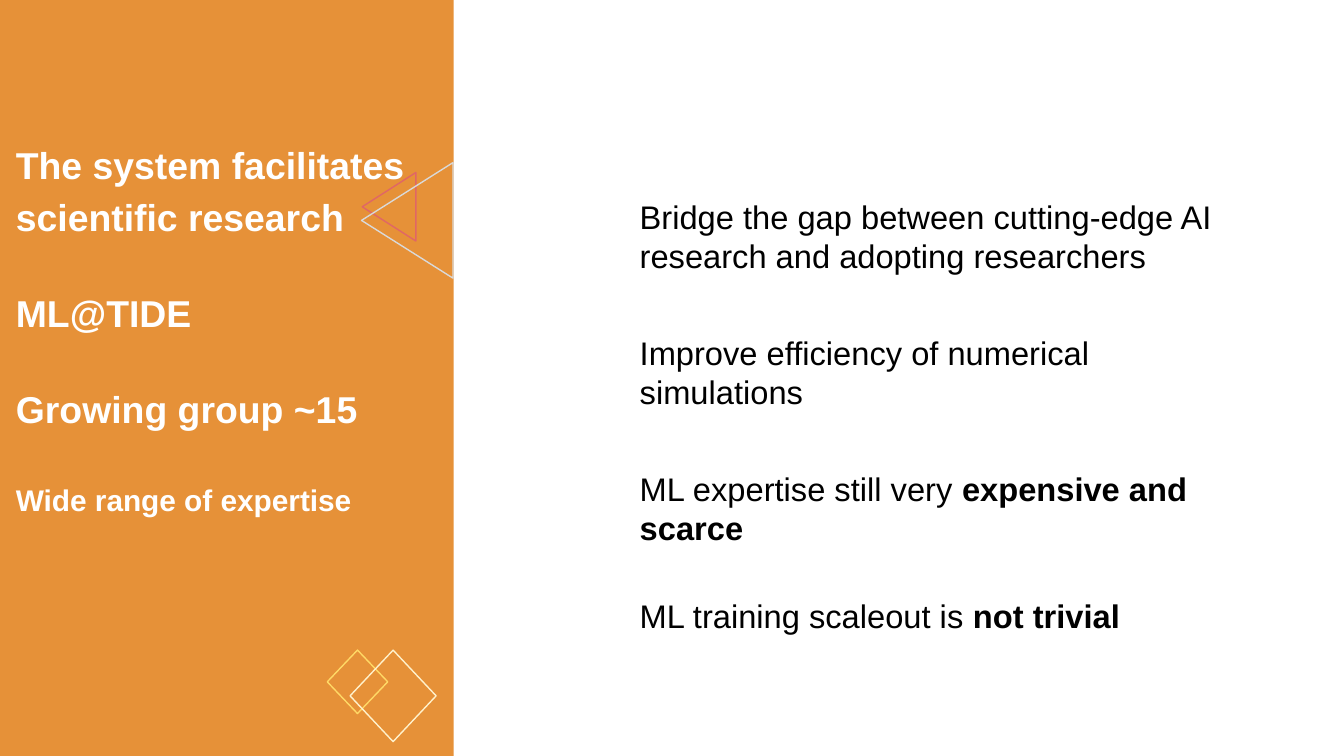
from dataclasses import dataclass

from lxml import etree
from pptx import Presentation, util as u
from pptx.dml.color import RGBColor
from pptx.enum import shapes, text
from pptx.oxml.ns import qn


@dataclass(frozen=True)
class Theme:
    font: str = "Arial"
    panel: str = "E69138"
    light: str = "FFFFFF"
    dark: str = "000000"
    rose: str = "E06666"
    grey: str = "D9D9D9"
    gold: str = "FFD966"
    cream: str = "FFF2CC"
    heading: float = 20
    subheading: float = 16
    body: float = 17.5
    outline: float = 0.75


THEME = Theme()
WIDTH = u.Inches(10)
HEIGHT = WIDTH * 9 // 16
TRIANGLE = shapes.MSO_SHAPE.ISOSCELES_TRIANGLE
DIAMOND = shapes.MSO_SHAPE.DIAMOND


@dataclass(frozen=True)
class Area:
    left: float
    top: float
    width: float
    height: float


@dataclass(frozen=True)
class Ornament:
    kind: shapes.MSO_SHAPE
    area: Area
    color: str
    rotation: float = 0


@dataclass(frozen=True)
class Line:
    plain: str
    strong: str = ""
    size: float = THEME.body
    before: float = 0


PANEL = Area(-0.6, -0.7, 34.35, 102.2)
HEADING_AREA = Area(0.18, 16.15, 35.3, 57)
BODY_AREA = Area(46.6, 24.2, 47, 62.2)

ORNAMENTS = [
    Ornament(TRIANGLE, Area(26.4, 23.8, 5.1, 7.1), THEME.rose, 270),
    Ornament(TRIANGLE, Area(26, 23.1, 8.6, 12.1), THEME.grey, 270),
    Ornament(DIAMOND, Area(24.35, 86, 4.5, 8.4), THEME.gold),
    Ornament(DIAMOND, Area(26.05, 86, 6.4, 12.1), THEME.cream),
]

HEADING_LINES = [
    Line("", "The system facilitates scientific research", THEME.heading),
    Line("", "ML@TIDE", THEME.heading, 24),
    Line("", "Growing group ~15", THEME.heading, 24),
    Line("", "Wide range of expertise", THEME.subheading, 24),
]

BODY_LINES = [
    Line("Bridge the gap between cutting-edge AI research and adopting researchers"),
    Line("Improve efficiency of numerical simulations", before=31),
    Line("ML expertise still very ", "expensive and scarce", before=31),
    Line("ML training scaleout is ", "not trivial", before=26),
]


def measure(area: Area) -> tuple[int, int, int, int]:
    return (
        round(WIDTH * area.left / 100),
        round(HEIGHT * area.top / 100),
        round(WIDTH * area.width / 100),
        round(HEIGHT * area.height / 100),
    )


def draw_panel(slide, area: Area) -> None:
    shape = slide.shapes.add_shape(shapes.MSO_SHAPE.RECTANGLE, *measure(area))
    shape.shadow.inherit = False
    shape.fill.solid()
    shape.fill.fore_color.rgb = RGBColor.from_string(THEME.panel)
    shape.line.fill.background()


def draw_ornament(slide, ornament: Ornament) -> None:
    shape = slide.shapes.add_shape(ornament.kind, *measure(ornament.area))
    shape.rotation = ornament.rotation
    shape.shadow.inherit = False
    shape.fill.background()
    shape.line.color.rgb = RGBColor.from_string(ornament.color)
    shape.line.width = u.Pt(THEME.outline)


def fill_placeholder(shape, area: Area, lines: list[Line], color: str, spacing: float) -> None:
    shape.left, shape.top, shape.width, shape.height = measure(area)
    shape.element.getparent().append(shape.element)
    frame = shape.text_frame
    frame.word_wrap = True
    frame.auto_size = text.MSO_AUTO_SIZE.NONE
    frame.vertical_anchor = text.MSO_ANCHOR.TOP
    frame.margin_left = frame.margin_right = u.Inches(0.1)
    frame.margin_top = frame.margin_bottom = u.Inches(0.1)
    for index, line in enumerate(lines):
        paragraph = frame.add_paragraph() if index else frame.paragraphs[0]
        properties = paragraph._p.get_or_add_pPr()
        properties.set("marL", "0")
        properties.set("indent", "0")
        etree.SubElement(properties, qn("a:buNone"))
        paragraph.alignment = text.PP_ALIGN.LEFT
        paragraph.line_spacing = spacing
        paragraph.space_before = u.Pt(line.before)
        paragraph.space_after = u.Pt(0)
        paragraph.font.name = THEME.font
        paragraph.font.size = u.Pt(line.size)
        paragraph.font.color.rgb = RGBColor.from_string(color)
        for words, bold in ((line.plain, False), (line.strong, True)):
            if words:
                run = paragraph.add_run()
                run.text = words
                run.font.bold = bold


def main() -> None:
    presentation = Presentation()
    presentation.slide_width, presentation.slide_height = WIDTH, HEIGHT
    slide = presentation.slides.add_slide(presentation.slide_layouts[1])
    draw_panel(slide, PANEL)
    for ornament in ORNAMENTS:
        draw_ornament(slide, ornament)
    fill_placeholder(slide.shapes.title, HEADING_AREA, HEADING_LINES, THEME.light, 1.15)
    fill_placeholder(slide.placeholders[1], BODY_AREA, BODY_LINES, THEME.dark, 1.0)
    presentation.save("out.pptx")


if __name__ == "__main__":
    main()
